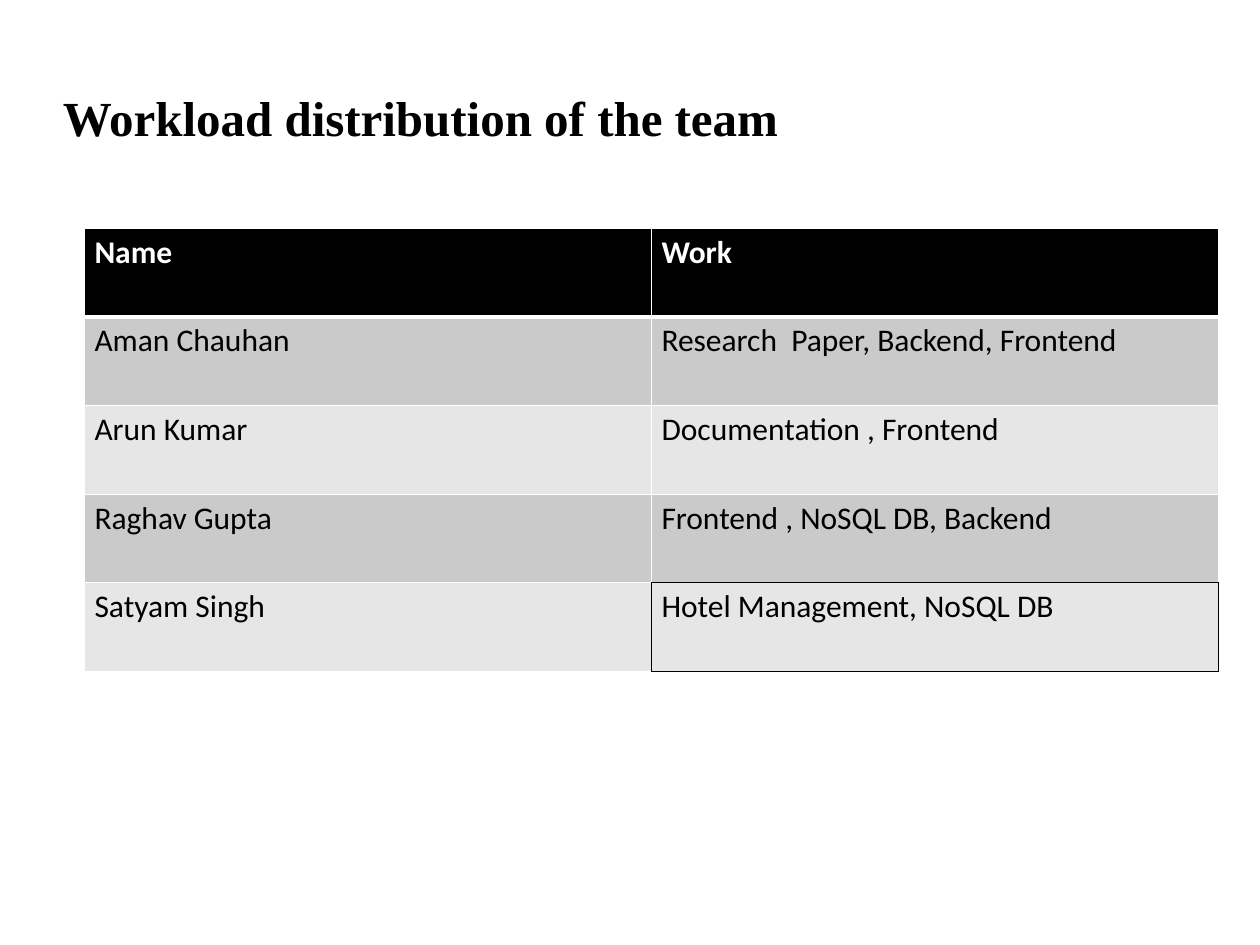
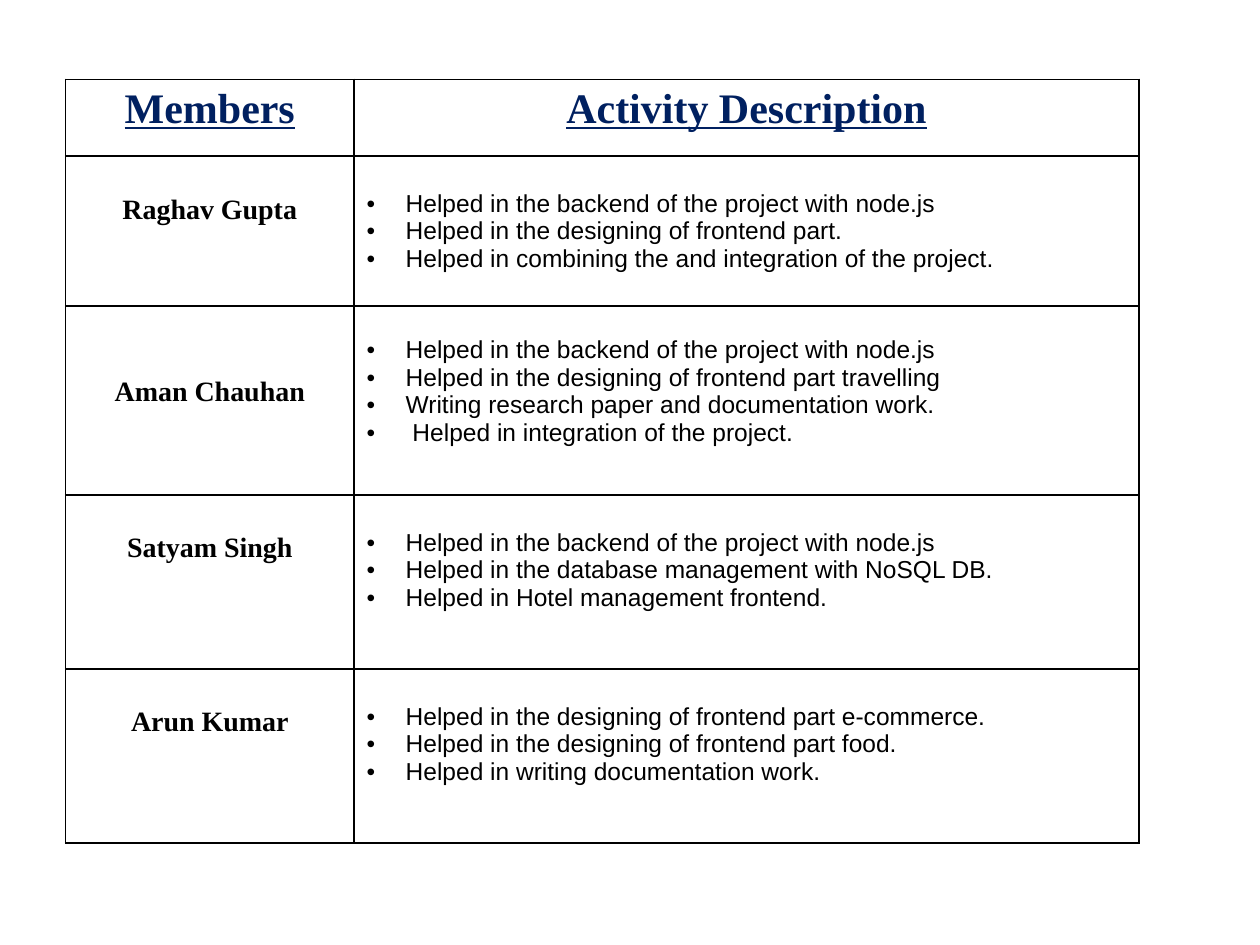
from dataclasses import dataclass

from lxml import etree
from pptx import Presentation
from pptx.dml.color import RGBColor
from pptx.enum.text import MSO_ANCHOR, PP_ALIGN
from pptx.oxml.ns import qn
from pptx.util import Inches, Pt

LEFT, CENTER = PP_ALIGN.LEFT, PP_ALIGN.CENTER
MIDDLE = MSO_ANCHOR.MIDDLE
SIDES = ("L", "R", "T", "B")


@dataclass(frozen=True)
class Theme:
    black: str = "000000"
    white: str = "FFFFFF"
    navy: str = "002060"
    dark_band: str = "CACACA"
    light_band: str = "E6E6E6"
    serif: str = "Times New Roman"
    sans: str = "Arial"
    table_font: str = "Calibri"
    title_size: int = 28
    heading_size: int = 24
    table_size: int = 18
    name_size: int = 16
    bullet_size: int = 14
    thin: float = 0.6
    grid: float = 0.8
    frame: float = 1
    thick: float = 2.4


THEME = Theme()


class Deck:
    """Holds the theme, the presentation and the current page."""

    def __init__(self, theme):
        self.theme = theme
        self.file = Presentation()
        self.file.slide_width, self.file.slide_height = Inches(10), Inches(7.5)
        self.page = None

    def new_page(self):
        self.page = self.file.slides.add_slide(self.file.slide_layouts[6])

    def add_span(self, para, text, font, size, color, bold=False, underline=False):
        span = para.add_run()
        span.text = text
        span.font.name, span.font.size = font, Pt(size)
        span.font.color.rgb = RGBColor.from_string(color)
        span.font.bold, span.font.underline = bold, underline

    def title(self, text):
        box = self.page.shapes.add_textbox(Inches(0.5), Inches(0.3), Inches(9), Inches(1.25))
        frame = box.text_frame
        frame.word_wrap = True
        frame.vertical_anchor = MIDDLE
        frame.margin_left = frame.margin_right = frame.margin_top = frame.margin_bottom = 0
        self.add_span(frame.paragraphs[0], text, self.theme.serif, self.theme.title_size,
                      self.theme.black, bold=True)

    def table(self, left, top, widths, heights):
        shape = self.page.shapes.add_table(len(heights), len(widths), Inches(left), Inches(top),
                                           Inches(sum(widths)), Inches(sum(heights)))
        table = shape.table
        table.first_row = table.horz_banding = False
        for column, width in zip(table.columns, widths):
            column.width = Inches(width)
        for row, height in zip(table.rows, heights):
            row.height = Inches(height)
        return table

    def cell(self, cell, lines, font, size, color, fill=None, align=LEFT, top=0.05,
             bullets=False, **style):
        if fill:
            cell.fill.solid()
            cell.fill.fore_color.rgb = RGBColor.from_string(fill)
        else:
            cell.fill.background()
        cell.margin_top = Inches(top)
        for index, line in enumerate(lines):
            para = cell.text_frame.paragraphs[0] if index == 0 else cell.text_frame.add_paragraph()
            para.alignment = align
            if bullets:
                self.bullet(para)
            self.add_span(para, line, font, size, color, **style)

    def bullet(self, para):
        props = para._p.get_or_add_pPr()
        props.set("marL", str(Inches(0.31)))
        props.set("indent", str(-Inches(0.31)))
        etree.SubElement(props, qn("a:buFont"), typeface=self.theme.sans)
        etree.SubElement(props, qn("a:buChar"), char="•")

    def borders(self, cell, color, width, sides=SIDES):
        """Draws the given sides of a cell, replacing earlier lines there."""
        props = cell._tc.get_or_add_tcPr()
        for side in sides:
            tag = qn(f"a:ln{side}")
            for old in props.findall(tag):
                props.remove(old)
            line = etree.Element(tag, w=str(Pt(width)))
            fill = etree.SubElement(line, qn("a:solidFill"))
            etree.SubElement(fill, qn("a:srgbClr"), val=color)
            before = [qn(f"a:ln{s}") for s in SIDES[:SIDES.index(side)]]
            props.insert(sum(child.tag in before for child in props), line)


def workload_page(deck):
    theme = deck.theme
    deck.new_page()
    deck.title("Workload distribution of the team")
    rows = [
        ("Name", "Work"),
        ("Aman Chauhan", "Research  Paper, Backend, Frontend"),
        ("Arun Kumar", "Documentation , Frontend"),
        ("Raghav Gupta", "Frontend , NoSQL DB, Backend"),
        ("Satyam Singh", "Hotel Management, NoSQL DB"),
    ]
    table = deck.table(0.67, 1.81, [4.5, 4.5], [3.52 / len(rows)] * len(rows))
    for r, texts in enumerate(rows):
        header = r == 0
        band = theme.dark_band if r % 2 else theme.light_band
        for c, text in enumerate(texts):
            cell = table.cell(r, c)
            deck.cell(cell, [text], theme.table_font, theme.table_size,
                      theme.white if header else theme.black,
                      fill=theme.black if header else band, top=0.04, bold=header)
            cell.margin_left = cell.margin_right = Inches(0.08)
            deck.borders(cell, theme.white, theme.grid)
            if r < 2:
                deck.borders(cell, theme.white, theme.thick, "B" if header else "T")

    # Black outline of the last cell, shared with its neighbours
    for r, c, sides in ((4, 1, SIDES), (3, 1, "B"), (4, 0, "R")):
        deck.borders(table.cell(r, c), theme.black, theme.thin, sides)


def activity_page(deck):
    theme = deck.theme
    deck.new_page()
    backend = "Helped in the backend of the project with node.js"
    # Name, its top margin, the activities and their top margin
    members = [
        ("Raghav Gupta", 0.3, [
            backend,
            "Helped in the designing of frontend part.",
            "Helped in combining the and integration of the project."], 0.27),
        ("Aman Chauhan", 0.56, [
            backend,
            "Helped in the designing of frontend part travelling",
            "Writing research paper and documentation work.",
            " Helped in integration of the project."], 0.24),
        ("Satyam Singh", 0.3, [
            backend,
            "Helped in the database management with NoSQL DB.",
            "Helped in Hotel management frontend."], 0.27),
        ("Arun Kumar", 0.3, [
            "Helped in the designing of frontend part e-commerce.",
            "Helped in the designing of frontend part food.",
            "Helped in writing documentation work."], 0.27),
    ]
    table = deck.table(0.52, 0.63, [2.29, 6.23], [0.61, 1.19, 1.5, 1.38, 1.38])

    # Heading row
    for c, heading in enumerate(("Members", "Activity Description")):
        deck.cell(table.cell(0, c), [heading], theme.serif, theme.heading_size, theme.navy,
                  align=CENTER, bold=True, underline=True)

    # One row per member
    for r, (name, name_top, activities, list_top) in enumerate(members, start=1):
        deck.cell(table.cell(r, 0), [name], theme.serif, theme.name_size, theme.black,
                  align=CENTER, top=name_top, bold=True)
        deck.cell(table.cell(r, 1), activities, theme.sans, theme.bullet_size, theme.black,
                  top=list_top, bullets=True)

    for cell in table.iter_cells():
        deck.borders(cell, theme.black, theme.frame)


def main():
    deck = Deck(THEME)
    workload_page(deck)
    activity_page(deck)
    deck.file.save("out.pptx")


if __name__ == "__main__":
    main()
